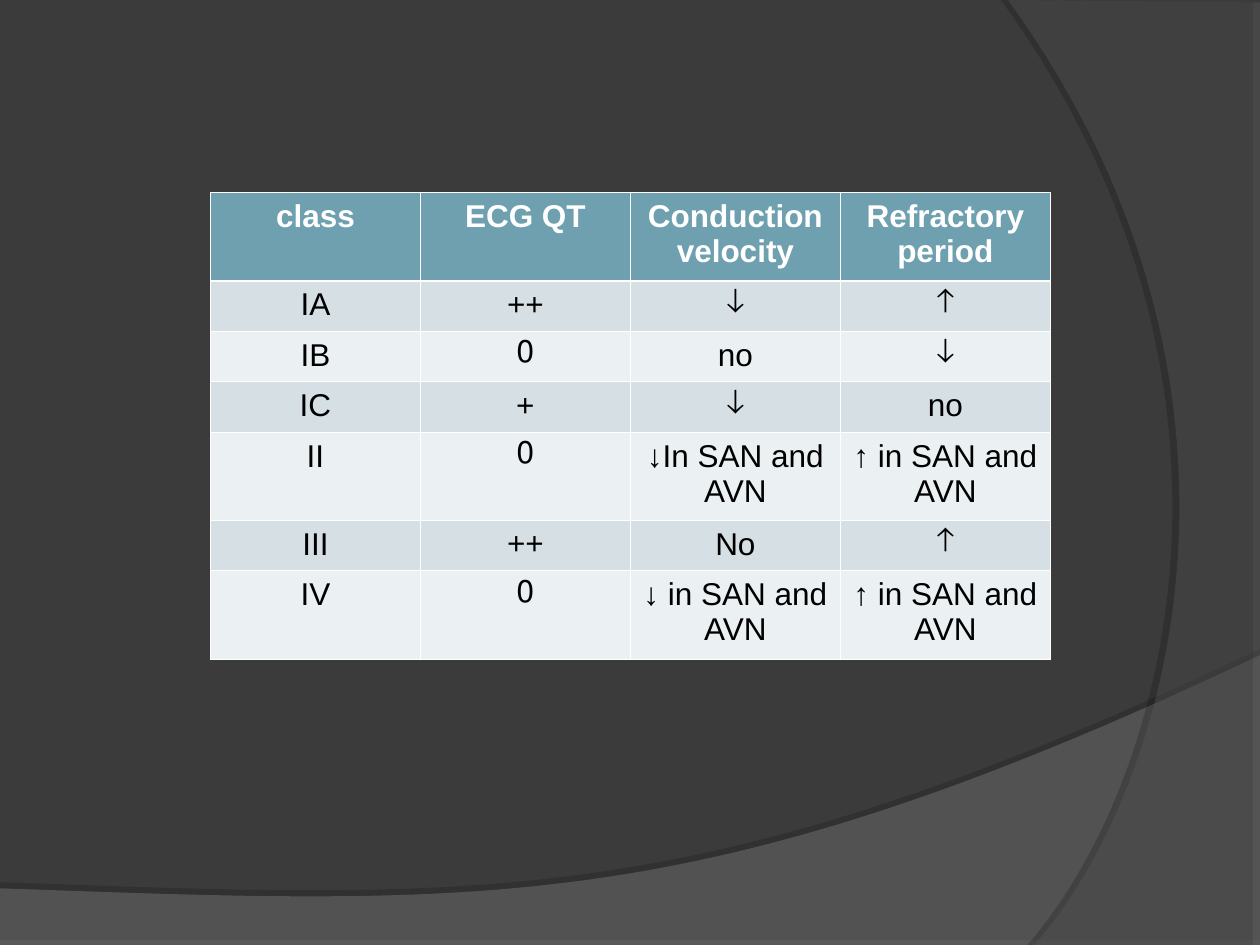
from lxml import etree
from pptx import Presentation
from pptx.dml.color import RGBColor
from pptx.enum.text import PP_ALIGN
from pptx.oxml.ns import qn
from pptx.util import Inches, Pt

CENTER = PP_ALIGN.CENTER
FONT = "Arial"
COLORS = {
    "background": "3B3B3B",
    "lower_wave": "7C7C7C",
    "right_wave": "595959",
    "shadow": "000000",
    "border": "FFFFFF",
    "header": "6EA0B0",
    "header_text": "FFFFFF",
    "odd_row": "D5DFE4",
    "even_row": "EBF0F2",
    "text": "000000",
}
ROWS = [
    ["class", "ECG QT", "Conduction velocity", "Refractory period"],
    ["IA", "++", "↓", "↑"],
    ["IB", "0", "no", "↓"],
    ["IC", "+", "↓", "no"],
    ["II", "0", "↓In SAN and AVN", "↑ in SAN and AVN"],
    ["III", "++", "No", "↑"],
    ["IV", "0", "↓ in SAN and AVN", "↑ in SAN and AVN"],
]
TALL_ROWS = (0, 4, 6)
TABLE_LEFT, TABLE_TOP, COLUMN_WIDTH = 1.67, 1.53, 5 / 3
TALL, SHORT = 0.7, 0.4
THIN, THICK = 0.45, 1.47


def color(name):
    return RGBColor.from_string(COLORS[name])


def add_element(parent, tag, **attributes):
    element = etree.SubElement(parent, qn(tag))
    for key, value in attributes.items():
        element.set(key, str(value))
    return element


def add_color(parent, name):
    return add_element(parent, "a:srgbClr", val=COLORS[name])


def curve(start, control_1, control_2, end, steps=60):
    """Return points along a cubic Bezier curve, both ends included."""
    points = []
    for step in range(steps + 1):
        t = step / steps
        weights = ((1 - t) ** 3, 3 * t * (1 - t) ** 2, 3 * t ** 2 * (1 - t), t ** 3)
        corners = (start, control_1, control_2, end)
        points.append(tuple(
            sum(weight * corner[axis] for weight, corner in zip(weights, corners))
            for axis in (0, 1)))
    return points


def add_wave(slide, points, fill, opacity, shadow_opacity, distance, direction):
    """Add a translucent outline with a hard-edged shadow; opacities in percent."""
    corners = [(Inches(x), Inches(y)) for x, y in points]
    builder = slide.shapes.build_freeform(*corners[0])
    builder.add_line_segments(corners[1:], close=True)
    shape = builder.convert_to_shape()
    shape.fill.solid()
    shape.fill.fore_color.rgb = color(fill)
    fill_color = shape.fill._xPr.find(qn("a:solidFill")).find(qn("a:srgbClr"))
    add_element(fill_color, "a:alpha", val=opacity * 1000)
    shape.line.fill.background()
    shape.shadow.inherit = False
    effects = shape._element.spPr.find(qn("a:effectLst"))
    shadow = add_element(effects, "a:outerShdw", blurRad=0, dist=Pt(distance),
                         dir=direction * 60000, algn="ctr", rotWithShape=0)
    add_element(add_color(shadow, "shadow"), "a:alpha", val=shadow_opacity * 1000)


def set_borders(cell, top, bottom):
    properties = cell._tc.get_or_add_tcPr()
    widths = {"a:lnL": THIN, "a:lnR": THIN, "a:lnT": top, "a:lnB": bottom}
    for tag, width in widths.items():
        line = add_element(properties, tag, w=Pt(width))
        add_color(add_element(line, "a:solidFill"), "border")


def fill_cell(cell, text, row_index):
    is_header = row_index == 0
    set_borders(cell, THICK if row_index == 1 else THIN, THICK if is_header else THIN)
    row_fill = "header" if is_header else "odd_row" if row_index % 2 else "even_row"
    cell.fill.solid()
    cell.fill.fore_color.rgb = color(row_fill)
    paragraph = cell.text_frame.paragraphs[0]
    paragraph.alignment = CENTER
    if "SAN" not in text:
        paragraph._p.get_or_add_pPr().set("rtl", "1")
    run = paragraph.add_run()
    run.text = text
    run.font.name = FONT
    run.font.size = Pt(18)
    run.font.bold = is_header
    run.font.color.rgb = color("header_text" if is_header else "text")


def add_drug_class_table(slide):
    heights = [TALL if index in TALL_ROWS else SHORT for index in range(len(ROWS))]
    column_count = len(ROWS[0])
    table = slide.shapes.add_table(
        len(ROWS), column_count, Inches(TABLE_LEFT), Inches(TABLE_TOP),
        Inches(COLUMN_WIDTH * column_count), Inches(sum(heights))).table
    for column in table.columns:
        column.width = Inches(COLUMN_WIDTH)
    for row_index, texts in enumerate(ROWS):
        table.rows[row_index].height = Inches(heights[row_index])
        for column_index, text in enumerate(texts):
            fill_cell(table.cell(row_index, column_index), text, row_index)


def main():
    presentation = Presentation()
    presentation.slide_width = Inches(10)
    presentation.slide_height = Inches(7.5)
    slide = presentation.slides.add_slide(presentation.slide_layouts[6])
    slide.background.fill.solid()
    slide.background.fill.fore_color.rgb = color("background")

    lower_edge = curve((10, 5.2), (5.59, 7.29), (3.91, 7.19), (0, 7.05))
    add_wave(slide, [(0, 7.51), (10, 7.51)] + lower_edge, "lower_wave", 45, 35, 3.5, 270)
    right_edge = curve((8.21, 7.5), (9.35, 6.19), (10.18, 3), (8, 0))
    add_wave(slide, [(10, 0.02), (10, 7.5)] + right_edge, "right_wave", 40, 45, 4, 180)
    add_drug_class_table(slide)
    presentation.save("out.pptx")


if __name__ == "__main__":
    main()
